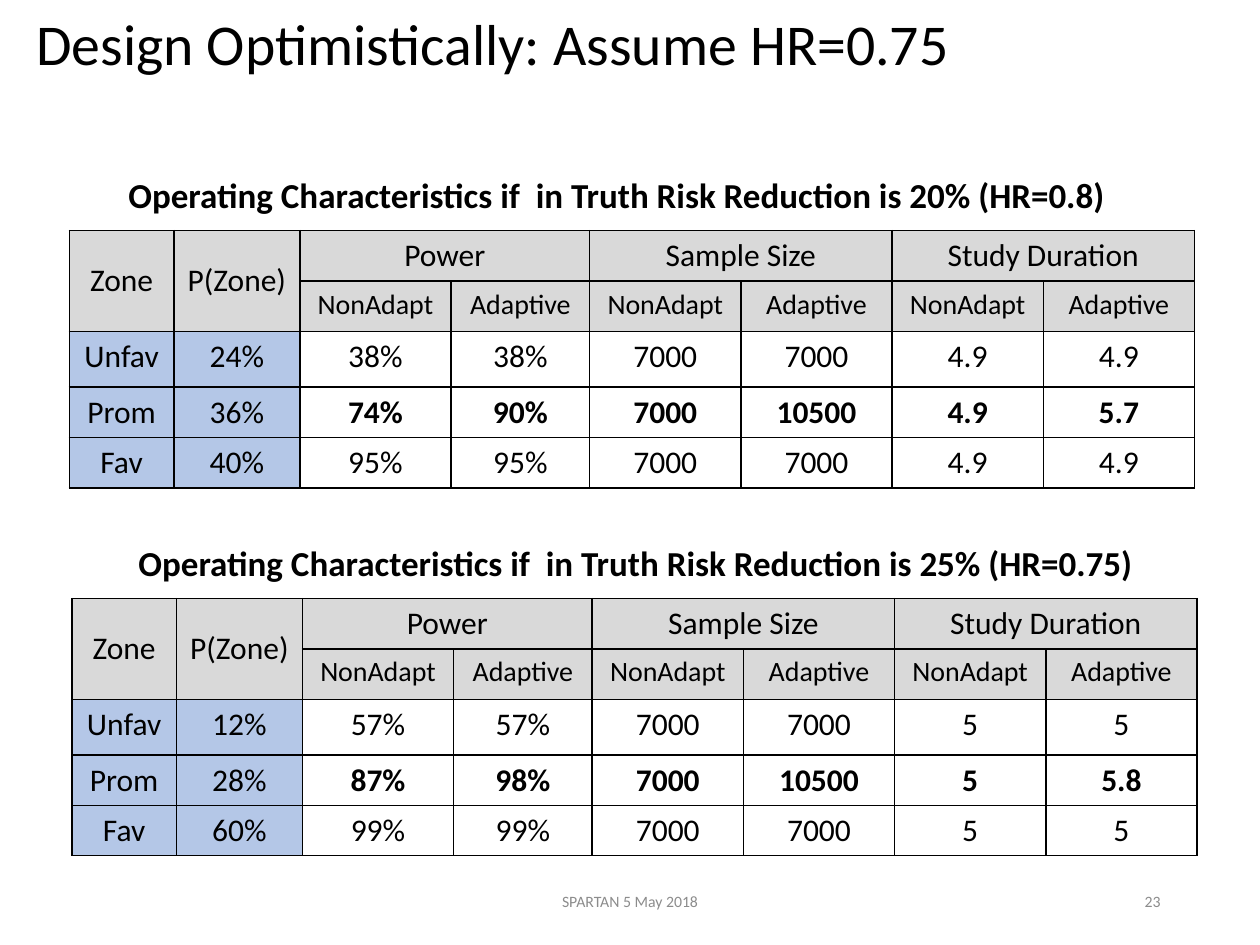
from pptx import Presentation
from pptx.dml.color import RGBColor
from pptx.enum.text import MSO_ANCHOR as Anchor, MSO_AUTO_SIZE as Fit, PP_ALIGN as Align
from pptx.oxml import parse_xml
from pptx.oxml.ns import nsdecls
from pptx.util import Inches, Pt

BLACK, GREY, HEAD, ZONE = "000000", "8C8C8C", "D9D9D9", "B4C7E7"
COLS = [0.83, 1, 1.2, 1.1] + [1.2] * 4
ROWS = [0.4, 0.4, 0.44, 0.4, 0.4]
GROUPS = ["Power", "Sample Size", "Study Duration"]
TOP = ["Zone", "P(Zone)"] + [text for group in GROUPS for text in (group, "")]
SUB = ["", ""] + ["NonAdapt", "Adaptive"] * len(GROUPS)


def color(code):
    return RGBColor.from_string(code)


def assign(item, values):
    for name, value in values.items():
        setattr(item, name, value)


class Deck:
    font = "Calibri"

    def __init__(self, wide, high):
        self.prs = Presentation()
        self.prs.slide_width, self.prs.slide_height = Inches(wide), Inches(high)
        self.slide = self.prs.slides.add_slide(self.prs.slide_layouts[6])

    def label(self, frame, text, size, tint=BLACK, bold=False, **form):
        para = frame.paragraphs[0]
        assign(para, form)
        run = para.add_run()
        run.text = text
        assign(run.font, {"name": self.font, "size": Pt(size), "bold": bold})
        run.font.color.rgb = color(tint)

    def text(self, box, text, size, frame=None, **form):
        shape = self.slide.shapes.add_textbox(*map(Inches, box))
        assign(shape.text_frame, {"word_wrap": True, **(frame or {})})
        self.label(shape.text_frame, text, size, **form)

    def border(self, cell):
        props = cell._tc.get_or_add_tcPr()
        for side in "LRTB":
            props.append(parse_xml(
                f'<a:ln{side} {nsdecls("a")} w="12700"><a:solidFill>'
                f'<a:srgbClr val="{BLACK}"/></a:solidFill></a:ln{side}>'))

    def cell(self, cell, text, size, fill, bold):
        self.border(cell)
        if fill:
            cell.fill.solid()
            cell.fill.fore_color.rgb = color(fill)
        else:
            cell.fill.background()
        if text:
            self.label(cell.text_frame, text, size, bold=bold, alignment=Align.CENTER)

    def table(self, left, top, body):
        box = map(Inches, (left, top, sum(COLS), sum(ROWS)))
        grid = self.slide.shapes.add_table(len(ROWS), len(COLS), *box).table
        assign(grid, {"first_row": False, "horz_banding": False})
        for col, width in zip(grid.columns, COLS):
            col.width = Inches(width)
        for row, height in zip(grid.rows, ROWS):
            row.height = Inches(height)

        # Header spans
        for col in (0, 1):
            grid.cell(0, col).merge(grid.cell(1, col))
            grid.cell(0, col).vertical_anchor = Anchor.MIDDLE
        for col in range(2, len(COLS), 2):
            grid.cell(0, col).merge(grid.cell(0, col + 1))

        # Cells, with the promising zone in bold
        for i, row in enumerate([TOP, SUB] + body):
            for j, text in enumerate(row):
                fill = HEAD if i < 2 else ZONE if j < 2 else None
                bold = row[0] == "Prom" and j > 1
                self.cell(grid.cell(i, j), text, 16 if i == 1 else 18, fill, bold)


def main():
    deck = Deck(10, 7.5)
    mid = {"vertical_anchor": Anchor.MIDDLE}

    # Title
    deck.text((0.19, 0, 8.39, 0.74), "Design Optimistically: Assume HR=0.75", 33,
              mid, line_spacing=0.9)

    # Footer
    deck.text((3.31, 6.95, 3.38, 0.4), "SPARTAN 5 May 2018", 9, mid,
              tint=GREY, alignment=Align.CENTER)
    deck.text((7.06, 6.95, 2.25, 0.4), "23", 9, mid, tint=GREY, alignment=Align.RIGHT)

    # Risk reduction of 20%
    grow = {"auto_size": Fit.SHAPE_TO_FIT_TEXT}
    lead = "Operating Characteristics if  in Truth Risk Reduction is "
    deck.text((0.92, 1.33, 8.02, 0.44), lead + "20% (HR=0.8)", 20,
              {**grow, "word_wrap": False}, bold=True)
    deck.table(0.55, 1.83, [
        ["Unfav", "24%", "38%", "38%", "7000", "7000", "4.9", "4.9"],
        ["Prom", "36%", "74%", "90%", "7000", "10500", "4.9", "5.7"],
        ["Fav", "40%", "95%", "95%", "7000", "7000", "4.9", "4.9"],
    ])

    # Risk reduction of 25%
    deck.text((1, 4.25, 9.08, 0.44), lead + "25% (HR=0.75)", 20, grow, bold=True)
    deck.table(0.57, 4.75, [
        ["Unfav", "12%", "57%", "57%", "7000", "7000", "5", "5"],
        ["Prom", "28%", "87%", "98%", "7000", "10500", "5", "5.8"],
        ["Fav", "60%", "99%", "99%", "7000", "7000", "5", "5"],
    ])

    deck.prs.save("out.pptx")


if __name__ == "__main__":
    main()
